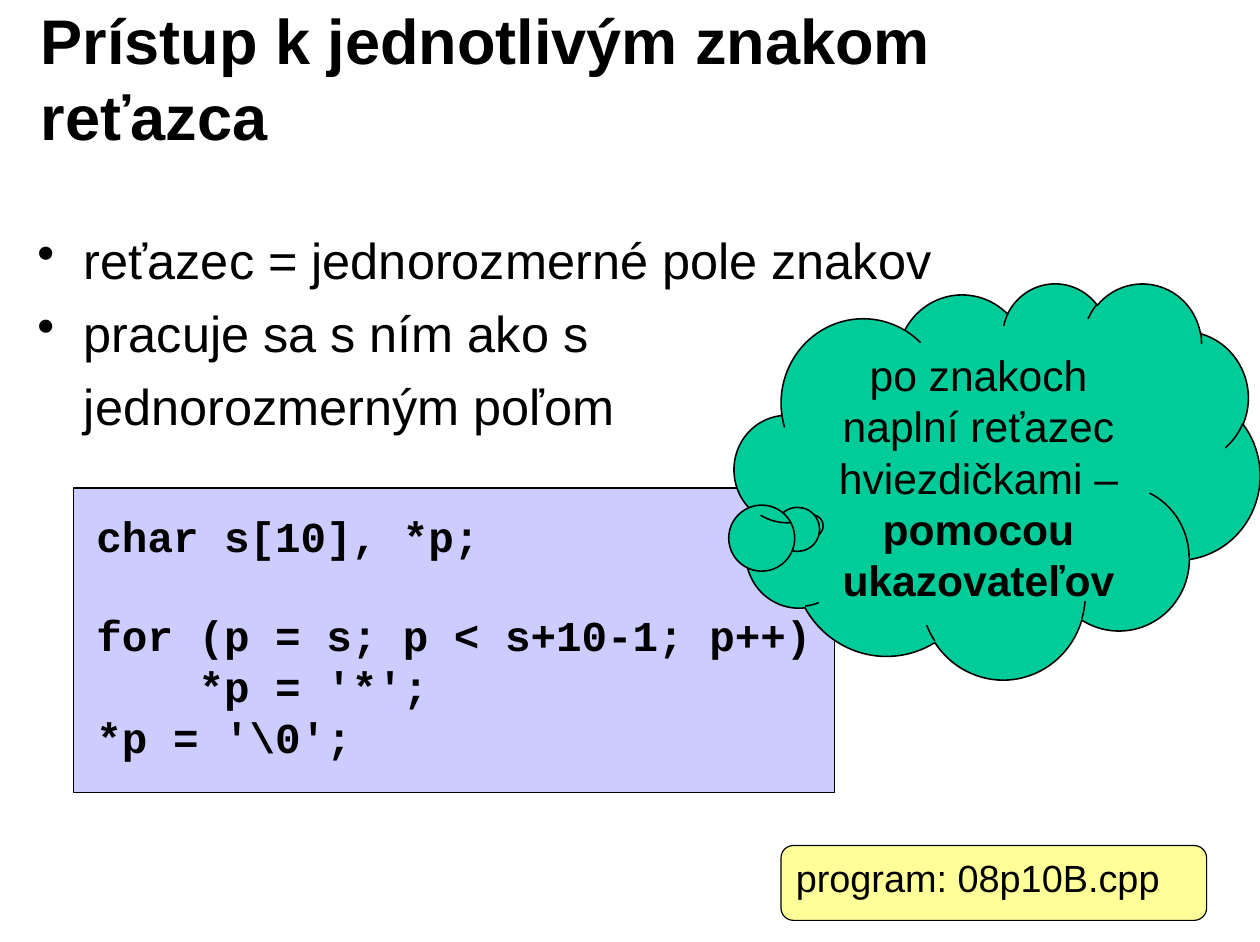
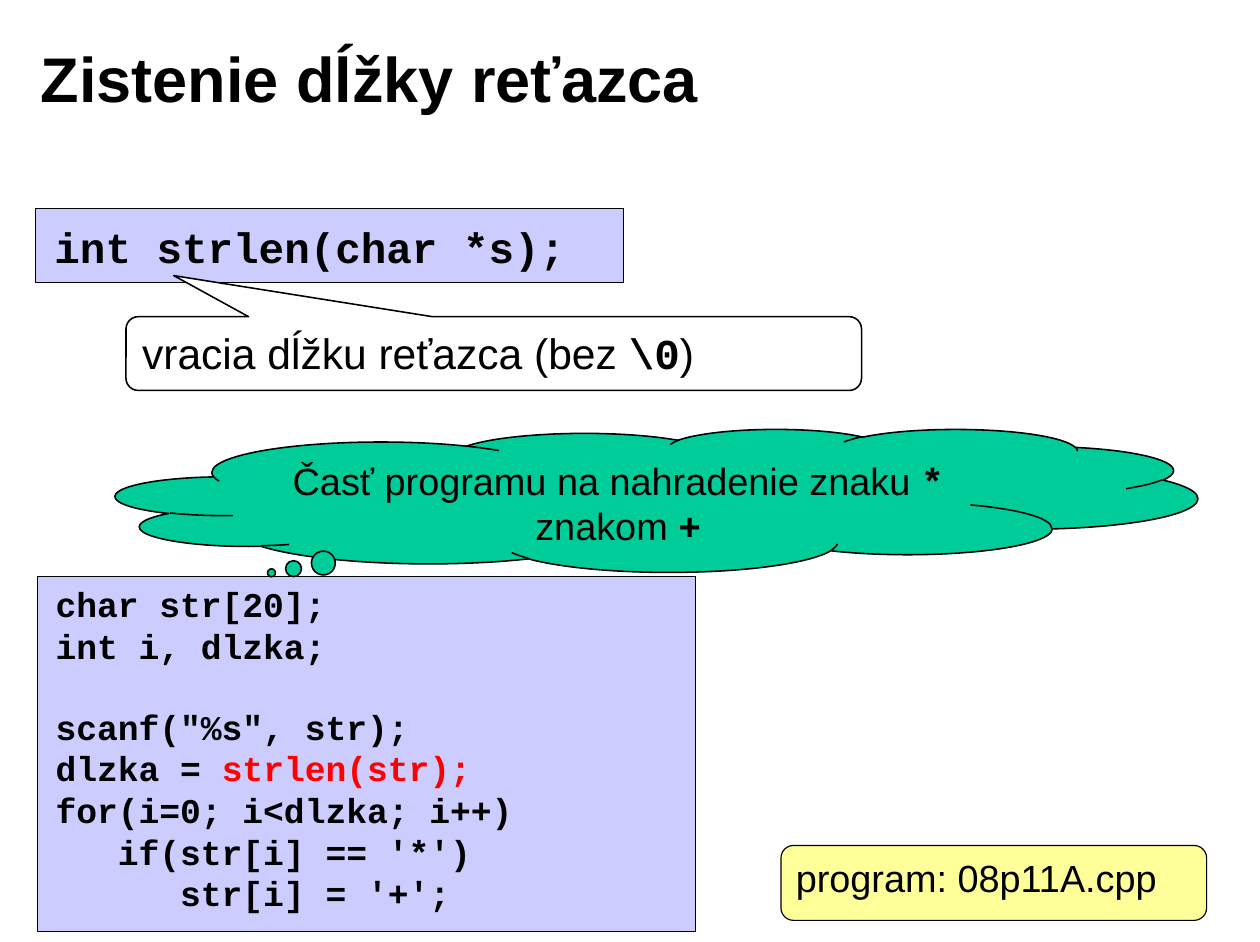
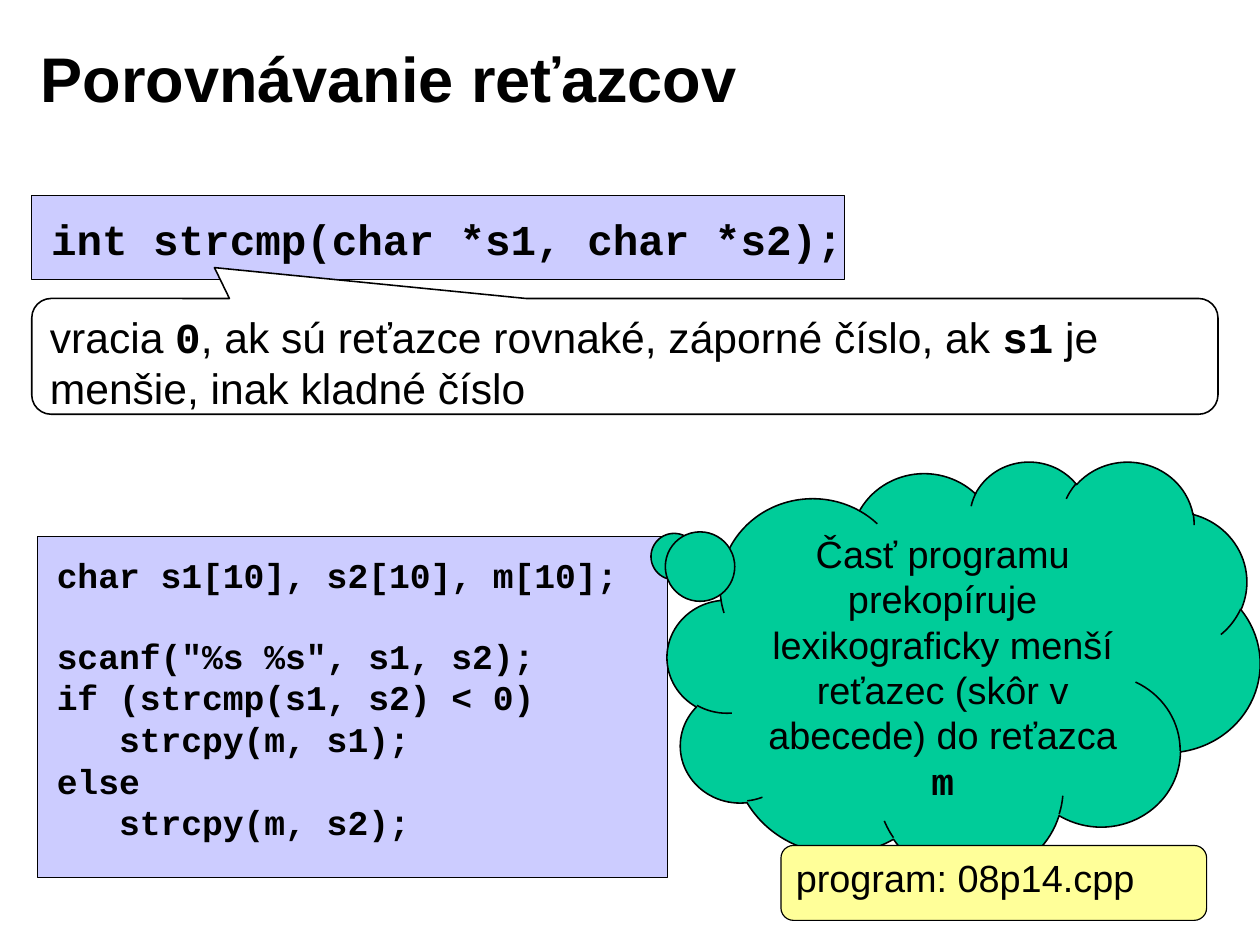
from dataclasses import dataclass

from lxml import etree
from pptx import Presentation
from pptx.dml.color import RGBColor
from pptx.enum import shapes, text
from pptx.oxml.ns import qn
from pptx.util import Inches, Pt

KIND = shapes.MSO_SHAPE
TOP, MID = text.MSO_ANCHOR.TOP, text.MSO_ANCHOR.MIDDLE
LEFT, MIDDLE = text.PP_ALIGN.LEFT, text.PP_ALIGN.CENTER


@dataclass(frozen=True)
class Theme:
    ink: str = "000000"
    paper: str = "FFFFFF"
    code: str = "CCCCFF"
    cloud: str = "00CC99"
    tag: str = "FFFF99"
    alert: str = "FF0000"
    sans: str = "Arial"
    mono: str = "Courier New"
    title: int = 40
    body: int = 32
    large: int = 27
    note: int = 24
    small: int = 22
    thin: float = 0.75
    line: float = 1
    lead: float = 1.13  # height of a code line, in type sizes
    gap: int = 8
    hang: float = 0.41
    pad: tuple = (0.11, 0.06, 0.11, 0.06)


T = Theme()
BOLD = {"bold": True}
MONO = {"name": T.mono, "bold": True}
ALERT = {**MONO, "color": T.alert}


def style(font, size, **marks):
    form = {"name": T.sans, "size": Pt(size), "bold": False, **marks}
    font.color.rgb = RGBColor.from_string(form.pop("color", T.ink))
    for key, val in form.items():
        setattr(font, key, val)


def write(par, parts, size, base=None, mark=None):
    """Add runs to a paragraph; every second part takes the mark style."""
    looks = (base or {}, mark or {})
    for num, part in enumerate(parts):
        run = par.add_run()
        run.text = part
        style(run.font, size, **looks[num % 2])


def frame(shape, pad=T.pad, anchor=TOP):
    body = shape.text_frame
    names = ("margin_left", "margin_top", "margin_right", "margin_bottom")
    form = dict(zip(names, map(Inches, pad)), word_wrap=True,
                vertical_anchor=anchor)
    for key, val in form.items():
        setattr(body, key, val)
    return body


def box(slide, area):
    return slide.shapes.add_textbox(*map(Inches, area))


def shape(slide, kind, area, fill, width, adj=()):
    item = slide.shapes.add_shape(kind, *map(Inches, area))
    item.shadow.inherit = False
    item.fill.solid()
    item.fill.fore_color.rgb = RGBColor.from_string(fill)
    item.line.color.rgb = RGBColor.from_string(T.ink)
    item.line.width = Pt(width)
    for num, val in enumerate(adj):
        item.adjustments[num] = val
    return item


def title(slide, words):
    body = frame(box(slide, (0.25, 0.17, 8.91, 1.02)), anchor=MID)
    write(body.paragraphs[0], [words], T.title, BOLD)


def bullets(slide, area, items):
    """Each item is (has a bullet, words)."""
    body = frame(box(slide, area))
    for num, (dot, words) in enumerate(items):
        par = body.add_paragraph() if num else body.paragraphs[0]
        if num:
            par.space_before = Pt(T.gap)
        props = par._p.get_or_add_pPr()
        props.set("marL", str(Inches(T.hang)))
        props.set("indent", str(-Inches(T.hang) if dot else 0))
        if dot:
            etree.SubElement(props, qn("a:buChar")).set("char", "•")
        write(par, [words], T.body)


def code(slide, area, size, pad, lines):
    """Draw a code panel; a line is a string or a list of plain and red parts."""
    panel = shape(slide, KIND.RECTANGLE, area, T.code, T.thin)
    body = frame(panel, (*pad, 0, 0))
    par, skip = body.paragraphs[0], 0
    for num, line in enumerate(lines):
        if not line:
            skip += 1
            continue
        if num:
            par = body.add_paragraph()
            par.space_before = Pt(round(skip * size * T.lead, 1))
        par.alignment, skip = LEFT, 0
        parts = [line] if isinstance(line, str) else line
        write(par, parts, size, MONO, ALERT)


def cloud(slide, area, tip, size, parts, mark):
    item = shape(slide, KIND.CLOUD_CALLOUT, area, T.cloud, T.line, tip)
    par = frame(item).paragraphs[0]
    par.alignment = MIDDLE
    write(par, parts, size, mark=mark)


def callout(slide, area, tip, parts):
    item = shape(slide, KIND.ROUNDED_RECTANGULAR_CALLOUT, area, T.paper,
                 T.line, (*tip, 0.167))
    par = frame(item).paragraphs[0]
    par.alignment = LEFT
    write(par, parts, T.large, mark=MONO)


def tag(slide, name):
    item = shape(slide, KIND.ROUNDED_RECTANGLE, (6.88, 7.45, 3.75, 0.66),
                 T.tag, T.thin, (0.167,))
    par = frame(item, (0.1, 0.05, 0.1, 0.05)).paragraphs[0]
    par.alignment = LEFT
    write(par, [f"program: {name}"], T.note)


def access(slide):
    title(slide, "Prístup k jednotlivým znakom reťazca")
    bullets(slide, (0.22, 1.96, 10.66, 1.32), [
        (True, "reťazec = jednorozmerné pole znakov"),
        (True, "pracuje sa s ním ako s"),
        (False, "jednorozmerným poľom"),
    ])
    code(slide, (0.65, 4.3, 6.7, 2.68), T.large, (0.2, 0.19), [
        "char s[10], *p;",
        "",
        "for (p = s; p < s+10-1; p++)",
        "    *p = '*';",
        "*p = '\\0';",
    ])
    cloud(slide, (6.47, 2.49, 4.63, 3.49), (-0.352, 0.114), T.large,
          ["po znakoch naplní reťazec hviezdičkami – ",
           "pomocou ukazovateľov"], BOLD)
    tag(slide, "08p10B.cpp")


def length(slide):
    title(slide, "Zistenie dĺžky reťazca")
    code(slide, (0.31, 1.84, 5.18, 0.65), T.large, (0.17, 0.11),
         ["int strlen(char *s);"])
    callout(slide, (1.11, 2.79, 6.48, 0.65), (-0.435, -1.057),
            ["vracia dĺžku reťazca (bez ", "\\0", ")"])
    code(slide, (0.33, 5.08, 5.8, 3.13), T.small, (0.16, 0.06), [
        "char str[20];",
        "int i, dlzka;",
        "",
        'scanf("%s", str);',
        ["dlzka = ", "strlen(str);"],
        "for(i=0; i<dlzka; i++)",
        "   if(str[i] == '*')",
        "      str[i] = '+';",
    ])
    cloud(slide, (1.02, 3.78, 9.53, 1.26), (-0.356, 0.506), T.note,
          ["Časť programu na nahradenie znaku ", "* ", "znakom ", "+"], MONO)
    tag(slide, "08p11A.cpp")


def compare(slide):
    title(slide, "Porovnávanie reťazcov")
    code(slide, (0.33, 4.73, 5.55, 3), T.small, (0.17, 0.15), [
        "char s1[10], s2[10], m[10];",
        "",
        'scanf("%s %s", s1, s2);',
        "if (strcmp(s1, s2) < 0)",
        "   strcpy(m, s1);",
        "else",
        "   strcpy(m, s2);",
    ])
    cloud(slide, (5.88, 4.06, 5.22, 3.67), (-0.496, -0.274), T.note,
          ["Časť programu prekopíruje lexikograficky menší reťazec "
           "(skôr v abecede) do reťazca ", "m"], MONO)
    code(slide, (0.28, 1.72, 7.16, 0.74), T.large, (0.17, 0.16),
         ["int strcmp(char *s1, char *s2);"])
    callout(slide, (0.28, 2.63, 10.45, 1.02), (-0.346, -0.767),
            ["vracia ", "0", ", ak sú reťazce rovnaké, záporné číslo, ak ",
             "s1", " je menšie, inak kladné číslo"])
    tag(slide, "08p14.cpp")


def main():
    deck = Presentation()
    deck.slide_width, deck.slide_height = Inches(11.1), Inches(8.3)
    for build in (access, length, compare):
        build(deck.slides.add_slide(deck.slide_layouts[6]))
    deck.save("out.pptx")


if __name__ == "__main__":
    main()
